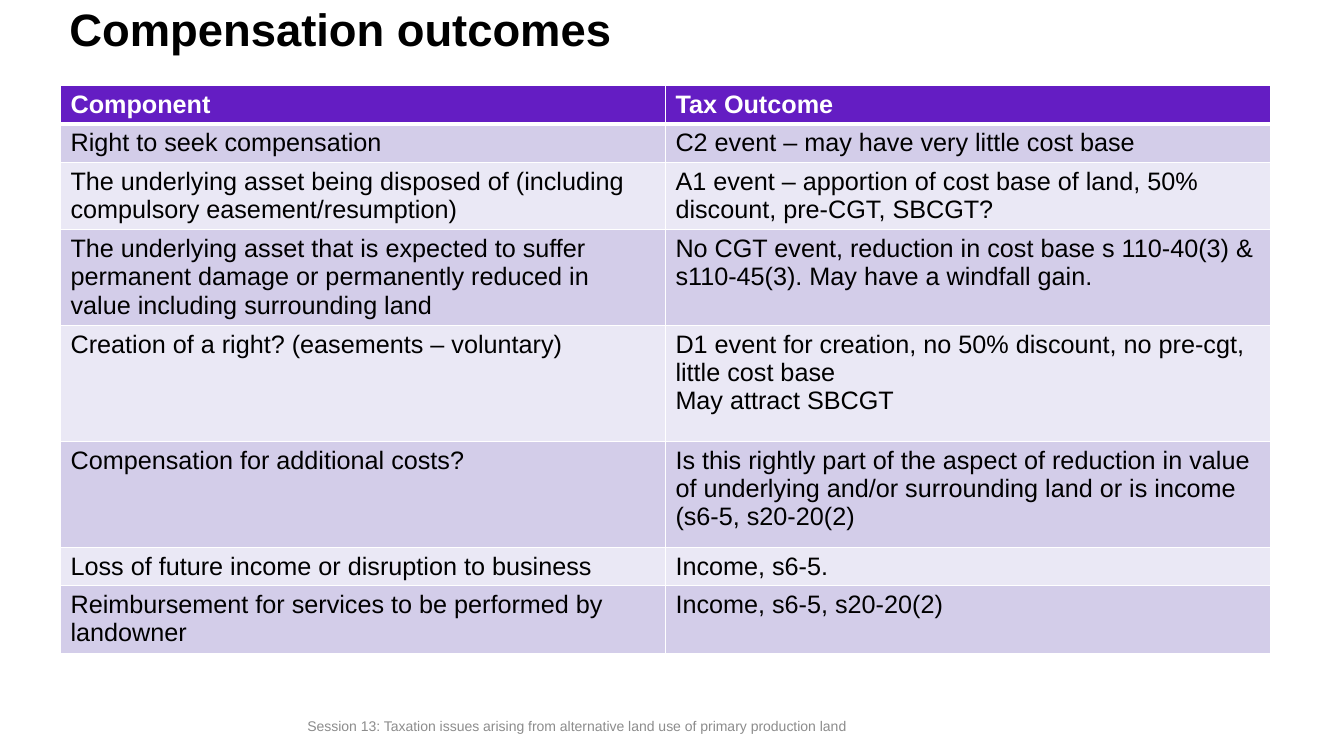
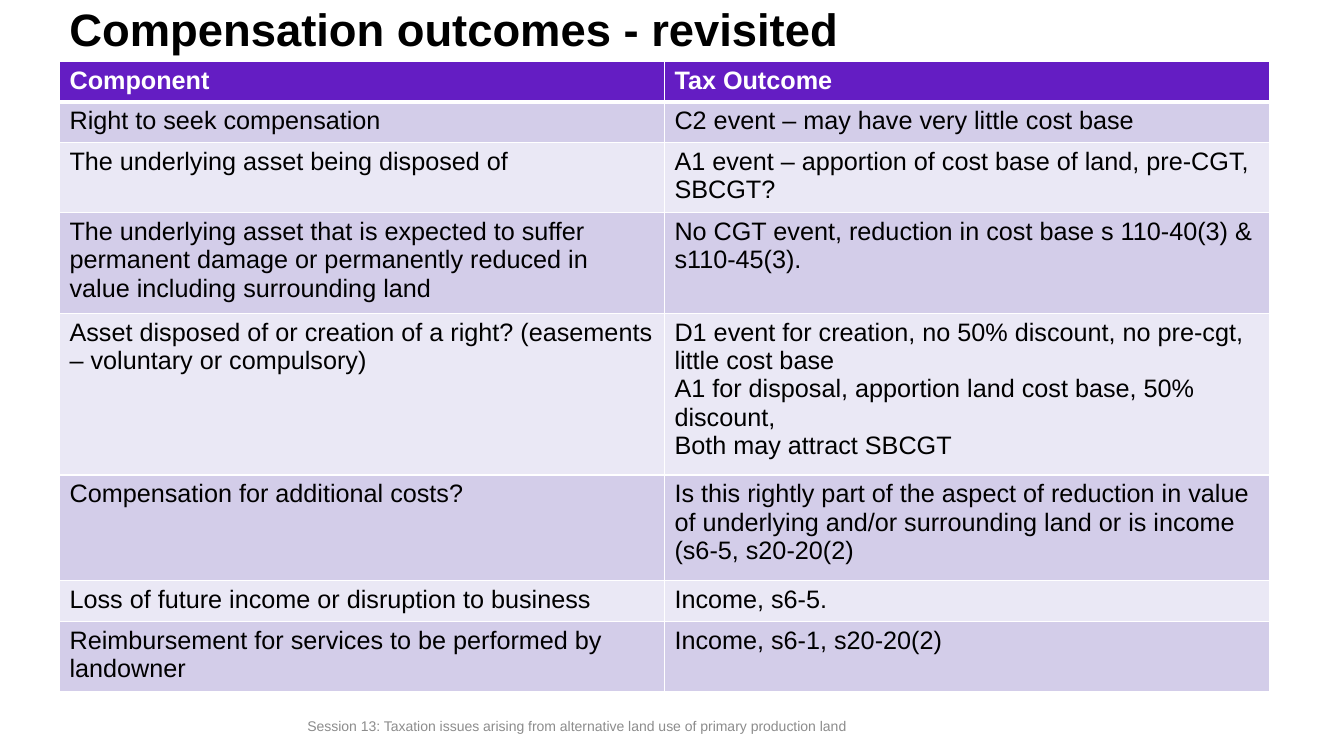
"""Build two slides that compare the tax outcomes of compensation components."""

from dataclasses import dataclass

import lxml.etree
import pptx
import pptx.dml.color
import pptx.enum.text
import pptx.oxml.ns
import pptx.util

Inches = pptx.util.Inches
Pt = pptx.util.Pt
Anchor = pptx.enum.text.MSO_ANCHOR

FONT = "Arial"
COLOURS = {
    "header": "641DC3",
    "odd_row": "D3CDE9",
    "even_row": "EAE8F5",
    "border": "FFFFFF",
    "header_text": "FFFFFF",
    "text": "000000",
    "footer": "8C8C8C",
}
COLUMN_WIDTH = 6
THIN, THICK = 1, 3
FOOTER = "Session 13: Taxation issues arising from alternative land use of primary production land"


@dataclass(frozen=True)
class TextStyle:
    size: float
    colour: str
    bold: bool = False
    line_spacing: float | None = None


@dataclass(frozen=True)
class TextBox:
    left: float
    top: float
    width: float
    height: float
    anchor: Anchor
    style: TextStyle


@dataclass(frozen=True)
class Row:
    component: str
    outcome: str
    height: float = 0.38


@dataclass(frozen=True)
class OutcomeSlide:
    title: str
    left: float
    top: float
    rows: tuple[Row, ...]


TITLE_BOX = TextBox(0.59, 0.03, 12.01, 0.58, Anchor.BOTTOM, TextStyle(32.4, "text", True, 0.9))
FOOTER_BOX = TextBox(2.95, 7.08, 7.87, 0.24, Anchor.MIDDLE, TextStyle(10, "footer"))
HEADER_STYLE = TextStyle(18, "header_text", True)
BODY_STYLE = TextStyle(18, "text")

OPENING_ROWS = (
    Row("Component", "Tax Outcome"),
    Row("Right to seek compensation", "C2 event – may have very little cost base"),
)
DAMAGED_ASSET = (
    "The underlying asset that is expected to suffer permanent damage "
    "or permanently reduced in value including surrounding land"
)
COST_BASE_REDUCTION = "No CGT event, reduction in cost base s 110-40(3) & s110-45(3)."
RIGHT_CREATION = "D1 event for creation, no 50% discount, no pre-cgt, little cost base"
SHARED_ROWS = (
    Row(
        "Compensation for additional costs?",
        "Is this rightly part of the aspect of reduction in value of underlying "
        "and/or surrounding land or is income (s6-5, s20-20(2)",
        1.05,
    ),
    Row("Loss of future income or disruption to business", "Income, s6-5."),
)
REIMBURSEMENT = "Reimbursement for services to be performed by landowner"

SLIDES = (
    OutcomeSlide(
        "Compensation outcomes",
        0.6,
        0.85,
        (
            *OPENING_ROWS,
            Row(
                "The underlying asset being disposed of (including compulsory easement/resumption)",
                "A1 event – apportion of cost base of land, 50% discount, pre-CGT, SBCGT?",
                0.67,
            ),
            Row(DAMAGED_ASSET, f"{COST_BASE_REDUCTION} May have a windfall gain.", 0.95),
            Row(
                "Creation of a right? (easements – voluntary)",
                f"{RIGHT_CREATION}\nMay attract SBCGT",
                1.15,
            ),
            *SHARED_ROWS,
            Row(REIMBURSEMENT, "Income, s6-5, s20-20(2)", 0.67),
        ),
    ),
    OutcomeSlide(
        "Compensation outcomes - revisited",
        0.59,
        0.61,
        (
            *OPENING_ROWS,
            Row(
                "The underlying asset being disposed of",
                "A1 event – apportion of cost base of land, pre-CGT, SBCGT?",
                0.67,
            ),
            Row(DAMAGED_ASSET, COST_BASE_REDUCTION, 0.95),
            Row(
                "Asset disposed of or creation of a right? (easements – voluntary or compulsory)",
                f"{RIGHT_CREATION}\n"
                "A1 for disposal, apportion land cost base, 50% discount,\n"
                "Both may attract SBCGT",
                1.52,
            ),
            *SHARED_ROWS,
            Row(REIMBURSEMENT, "Income, s6-1, s20-20(2)", 0.67),
        ),
    ),
)


def rgb(name: str) -> pptx.dml.color.RGBColor:
    return pptx.dml.color.RGBColor.from_string(COLOURS[name])


def write_text(text_frame, text: str, style: TextStyle) -> None:
    text_frame.text = text
    for paragraph in text_frame.paragraphs:
        if style.line_spacing:
            paragraph.line_spacing = style.line_spacing
        paragraph.font.name = FONT
        paragraph.font.size = Pt(style.size)
        paragraph.font.bold = style.bold
        paragraph.font.color.rgb = rgb(style.colour)


def add_text(slide, box: TextBox, text: str) -> None:
    shape = slide.shapes.add_textbox(
        Inches(box.left), Inches(box.top), Inches(box.width), Inches(box.height)
    )
    shape.text_frame.word_wrap = True
    shape.text_frame.vertical_anchor = box.anchor
    write_text(shape.text_frame, text, box.style)


def add_borders(cell, top: float, bottom: float) -> None:
    qualified = pptx.oxml.ns.qn
    properties = cell._tc.get_or_add_tcPr()
    for side, width in (("L", THIN), ("R", THIN), ("T", top), ("B", bottom)):
        line = lxml.etree.SubElement(properties, qualified(f"a:ln{side}"), w=str(Pt(width)))
        fill = lxml.etree.SubElement(line, qualified("a:solidFill"))
        lxml.etree.SubElement(fill, qualified("a:srgbClr"), val=COLOURS["border"])


def add_outcome_table(slide, content: OutcomeSlide) -> None:
    rows = content.rows
    table = slide.shapes.add_table(
        len(rows),
        2,
        Inches(content.left),
        Inches(content.top),
        Inches(2 * COLUMN_WIDTH),
        Inches(sum(row.height for row in rows)),
    ).table
    for column in table.columns:
        column.width = Inches(COLUMN_WIDTH)
    for index, row in enumerate(rows):
        table.rows[index].height = Inches(row.height)
        is_header = index == 0
        fill = "header" if is_header else "odd_row" if index % 2 else "even_row"
        for cell, text in zip(table.rows[index].cells, (row.component, row.outcome)):
            add_borders(cell, THICK if index == 1 else THIN, THICK if is_header else THIN)
            cell.fill.solid()
            cell.fill.fore_color.rgb = rgb(fill)
            write_text(cell.text_frame, text, HEADER_STYLE if is_header else BODY_STYLE)


def main() -> None:
    presentation = pptx.Presentation()
    presentation.slide_width = Inches(13.33)
    presentation.slide_height = Inches(7.5)
    for content in SLIDES:
        slide = presentation.slides.add_slide(presentation.slide_layouts[6])
        add_outcome_table(slide, content)
        add_text(slide, FOOTER_BOX, FOOTER)
        add_text(slide, TITLE_BOX, content.title)
    presentation.save("out.pptx")


if __name__ == "__main__":
    main()
